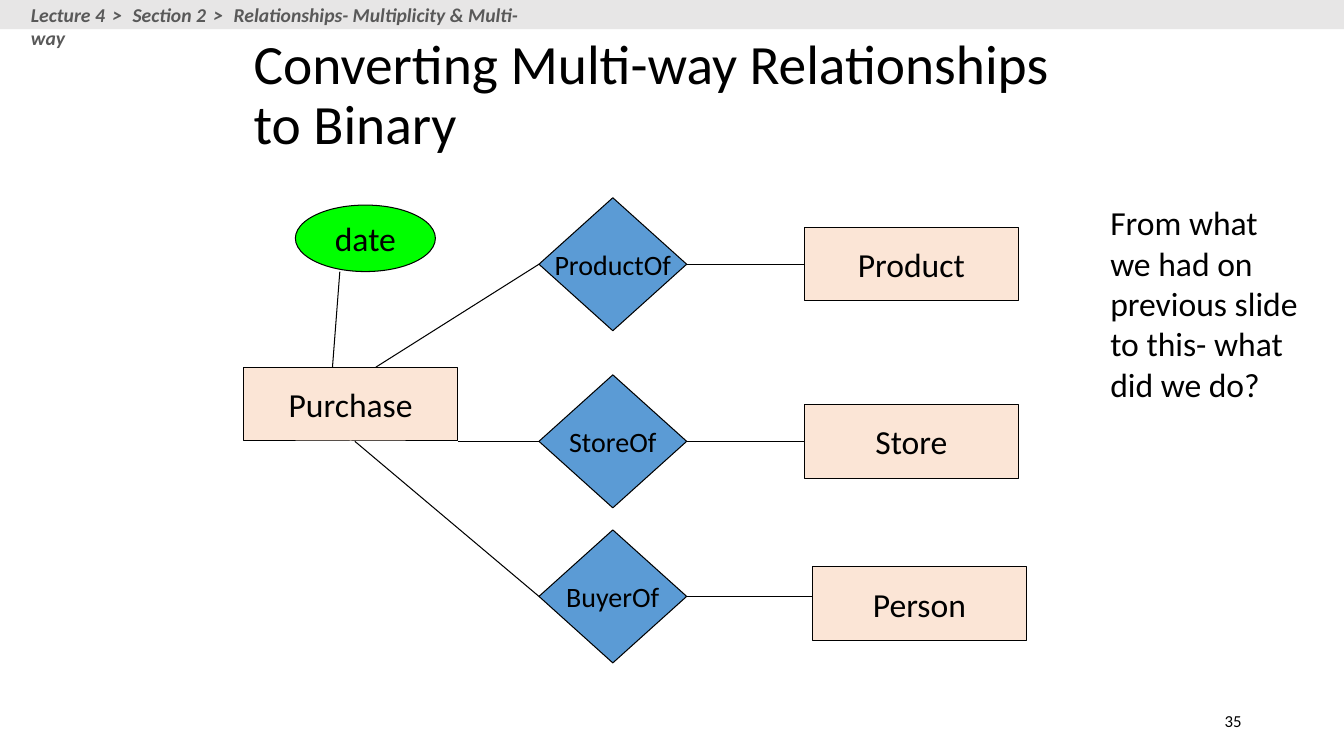
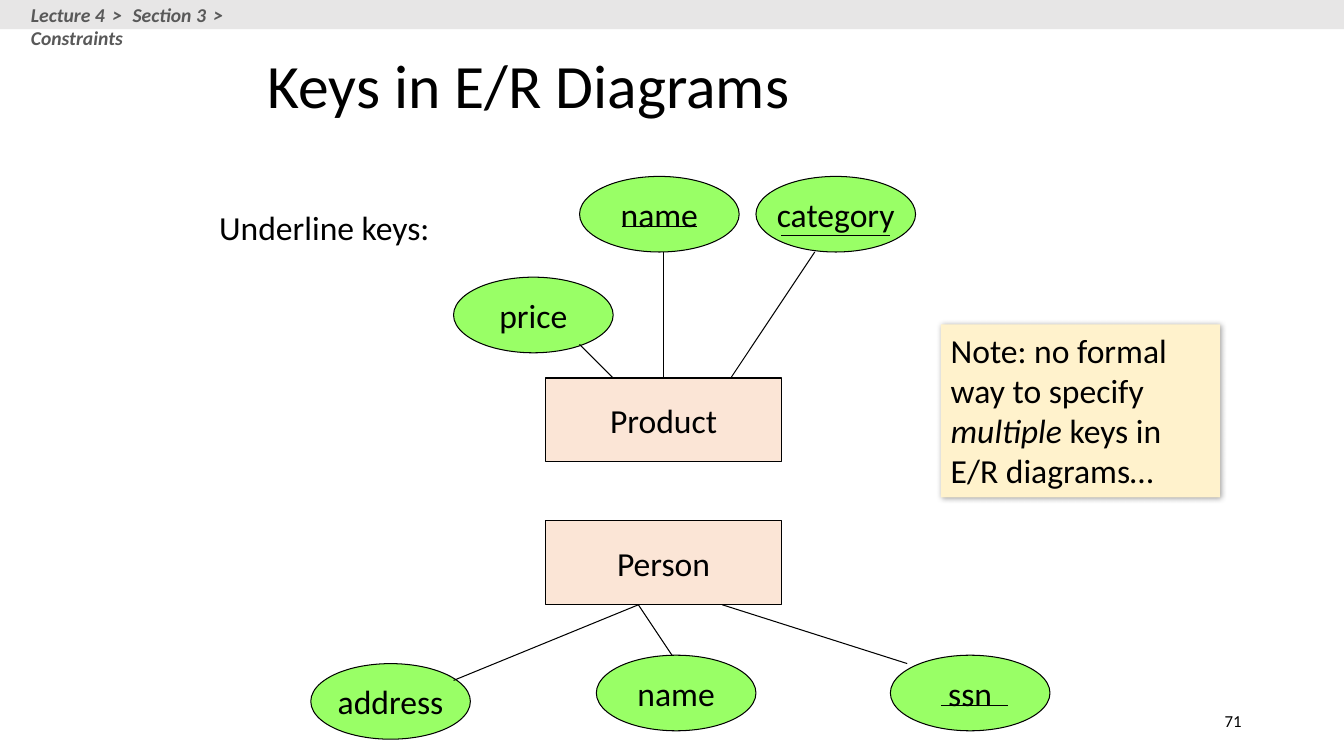
"""Builds two slides on entity-relationship diagrams."""
from dataclasses import dataclass

from lxml.etree import SubElement
from pptx import Presentation
from pptx.dml.color import RGBColor
from pptx.enum.shapes import MSO_CONNECTOR as CONN, MSO_SHAPE as SHAPE
from pptx.enum.text import MSO_ANCHOR as ANCHOR, MSO_AUTO_SIZE as AUTO, PP_ALIGN as ALIGN
from pptx.oxml.ns import qn
from pptx.util import Pt


@dataclass(frozen=True)
class Theme:
    font: str = "Calibri"
    ink: str = "000000"
    crumb: str = "595959"
    band: str = "E7E6E6"
    entity: str = "FBE5D6"
    relation: str = "5B9BD5"
    date: str = "00FF00"
    attribute: str = "99FF66"
    note: str = "FFF2CC"
    title_size: float = 44
    long_title_size: float = 39.6
    body_size: float = 24
    relation_size: float = 20
    crumb_size: float = 14
    number_size: float = 12
    line_width: float = 0.75


T = Theme()
WIDTH, HEIGHT = 960, 540


def rgb(value):
    return RGBColor.from_string(value)


def style(p, size, color=T.ink, bold=None, italic=None):
    for r in p.runs:
        f = r.font
        f.name, f.size, f.color.rgb = T.font, Pt(size), rgb(color)
        f.bold = bold
        if italic is not None:
            f.italic = italic


def add_text(s, box, text, size=T.body_size, align=ALIGN.LEFT, anchor=ANCHOR.TOP, wrap=True):
    sp = s.shapes.add_textbox(*map(Pt, box))
    tf = sp.text_frame
    tf.word_wrap, tf.vertical_anchor = wrap, anchor
    tf.text = text
    p = tf.paragraphs[0]
    p.alignment = align
    style(p, size)


def add_block(s, kind, box, fill, outlined=True):
    sp = s.shapes.add_shape(kind, *map(Pt, box))
    sp.shadow.inherit = False
    sp.fill.solid()
    sp.fill.fore_color.rgb = rgb(fill)
    if outlined:
        sp.line.color.rgb = rgb(T.ink)
        sp.line.width = Pt(T.line_width)
    else:
        sp.line.fill.background()
    return sp


def add_node(s, kind, box, fill, text, size=T.body_size):
    tf = add_block(s, kind, box, fill).text_frame
    tf.word_wrap, tf.vertical_anchor = False, ANCHOR.MIDDLE
    tf.text = text
    p = tf.paragraphs[0]
    p.alignment = ALIGN.CENTER
    style(p, size)


def add_line(s, x1, y1, x2, y2):
    line = s.shapes.add_connector(CONN.STRAIGHT, Pt(x1), Pt(y1), Pt(x2), Pt(y2))
    line.line.color.rgb = rgb(T.ink)
    line.line.width = Pt(T.line_width)
    SubElement(line._element.spPr, qn("a:effectLst"))


def add_breadcrumb(s, width, steps):
    add_block(s, SHAPE.RECTANGLE, (0, 0, WIDTH, 20.9), T.band, outlined=False)
    tf = s.shapes.add_textbox(Pt(15), Pt(-1.5), Pt(width), Pt(24.5)).text_frame
    tf.word_wrap = True
    p = tf.paragraphs[0]
    for i, step in enumerate(steps):
        if i:
            r = p.add_run()
            r.text = " > "
            r._r.get_or_add_rPr().set("spc", "210")
        p.add_run().text = step
    style(p, T.crumb_size, T.crumb, bold=True, italic=True)


def add_slide(prs, title, size, top, number, crumb_width, steps, indent=7.2):
    s = prs.slides.add_slide(prs.slide_layouts[5])
    sp = s.shapes.title
    sp.left, sp.top, sp.width, sp.height = map(Pt, (174, top, 612, 90))
    tf = sp.text_frame
    tf.text = title
    tf.word_wrap, tf.auto_size, tf.vertical_anchor = True, AUTO.NONE, ANCHOR.MIDDLE
    tf.margin_left = Pt(indent)
    p = tf.paragraphs[0]
    p.alignment, p.line_spacing = ALIGN.LEFT, 0.9
    style(p, size)
    add_text(s, (678, 500.5, 216, 28.75), number, T.number_size, ALIGN.RIGHT, ANCHOR.MIDDLE)
    add_breadcrumb(s, crumb_width, steps)
    return s


def add_note(s, box, parts):
    sp = add_block(s, SHAPE.RECTANGLE, box, T.note, outlined=False)
    shadow = SubElement(sp._element.spPr.find(qn("a:effectLst")), qn("a:outerShdw"),
                        blurRad=str(Pt(4)), dist=str(Pt(1)), dir="2700000",
                        algn="tl", rotWithShape="0")
    color = SubElement(shadow, qn("a:srgbClr"), val=T.ink)
    SubElement(color, qn("a:alpha"), val="40000")
    tf = sp.text_frame
    tf.word_wrap, tf.vertical_anchor = True, ANCHOR.TOP
    p = tf.paragraphs[0]
    p.alignment = ALIGN.LEFT
    for text, italic in parts:
        r = p.add_run()
        r.text, r.font.italic = text, italic
    style(p, T.body_size)


def build_binary(prs):
    s = add_slide(prs, "Converting Multi-way Relationships to Binary", T.long_title_size,
                  24, "35", 375, ("Lecture 4", "Section 2",
                                  "Relationships- Multiplicity & Multi-way"))
    entity_w, entity_h = 153, 52.75
    relation_x, relation_w, relation_h = 385, 105.5, 95
    add_node(s, SHAPE.RECTANGLE, (174, 262.25, entity_w, entity_h), T.entity, "Purchase")
    rows = [("ProductOf", "Product", 188.75, 574.5, 162.25, (268.5, 262.25)),
            ("StoreOf", "Store", 315.25, 574.5, 288.75, (327, 315.25)),
            ("BuyerOf", "Person", 426, 580.25, 404.75, (253.5, 315.25))]
    for relation, entity, y, entity_x, entity_y, start in rows:
        add_node(s, SHAPE.RECTANGLE, (entity_x, entity_y, entity_w, entity_h),
                 T.entity, entity)
        add_node(s, SHAPE.DIAMOND, (relation_x, y - relation_h / 2, relation_w, relation_h),
                 T.relation, relation, T.relation_size)
        add_line(s, *start, relation_x, y)
        add_line(s, relation_x + relation_w, y, entity_x, y)
    add_node(s, SHAPE.OVAL, (211, 146.5, 100, 47.5), T.date, "date")
    add_line(s, 237.5, 262.25, 242.75, 194)
    add_text(s, (786, 141, 153.5, 152.5),
             "From what we had on previous slide to this- what did we do?")


def build_keys(prs):
    s = add_slide(prs, "Keys in E/R Diagrams", T.title_size, 18, "71", 216,
                  ("Lecture 4", "Section 3", "Constraints"), indent=17.2)
    for text, y in (("Product", 270), ("Person", 372)):
        add_node(s, SHAPE.RECTANGLE, (390, y, 168, 60), T.entity, text)
    attributes = [("name", 414, 126), ("category", 540, 126), ("price", 324, 198),
                  ("address", 222, 474), ("name", 426, 468), ("ssn", 636, 468)]
    for text, x, y in attributes:
        add_node(s, SHAPE.OVAL, (x, y, 114, 54), T.attribute, text)
    links = [(438, 270, 414, 246), (474, 270, 474, 180), (522, 270, 582, 180),
             (456, 432, 324, 486), (456, 432, 480, 468), (516, 432, 648, 474)]
    underlines = [(444, 162, 498, 162), (558, 168, 636, 168), (672, 504, 720, 504)]
    for ends in links + underlines:
        add_line(s, *ends)
    add_text(s, (149.5, 144, 166.5, 36), "Underline keys:", wrap=False)
    add_note(s, (672, 231.75, 199.5, 123.5),
             [("Note: no formal way to specify ", False), ("multiple", True),
              (" keys in E/R diagrams…", False)])


def main():
    prs = Presentation()
    prs.slide_width, prs.slide_height = Pt(WIDTH), Pt(HEIGHT)
    build_binary(prs)
    build_keys(prs)
    prs.save("out.pptx")


if __name__ == "__main__":
    main()
